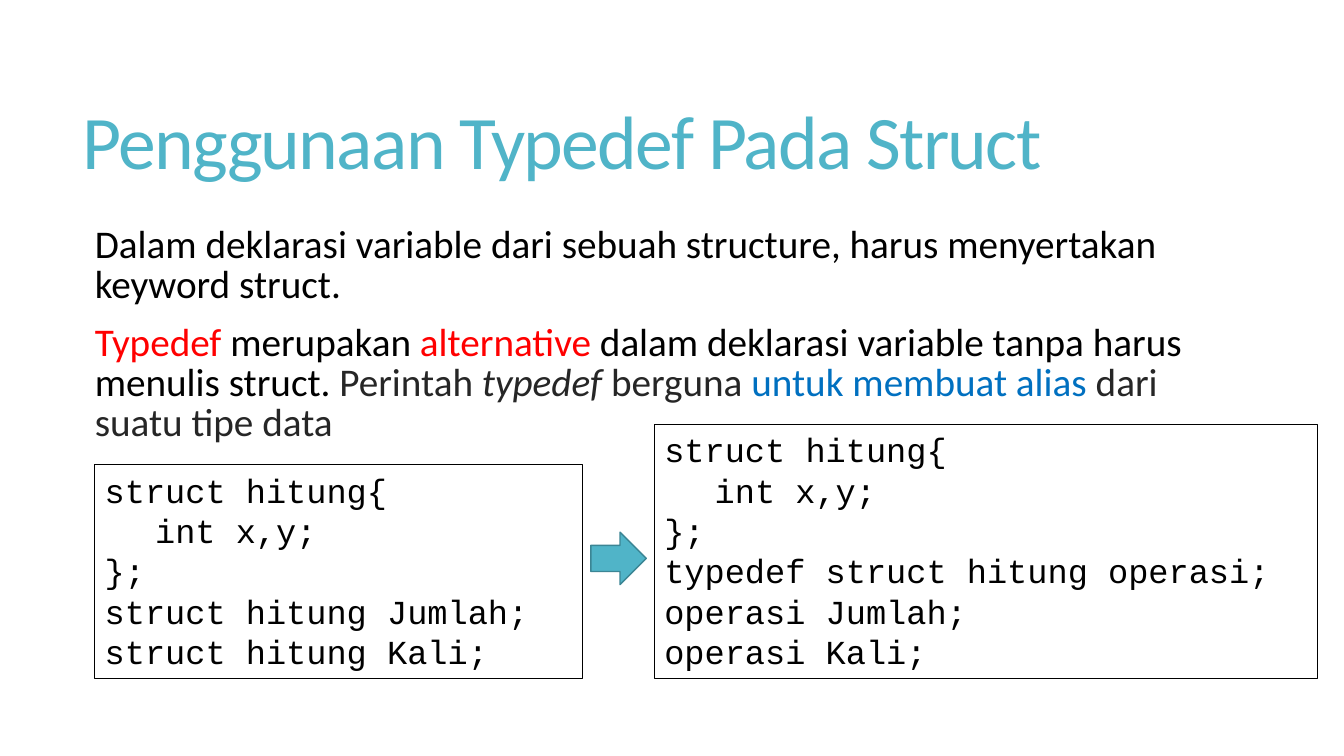
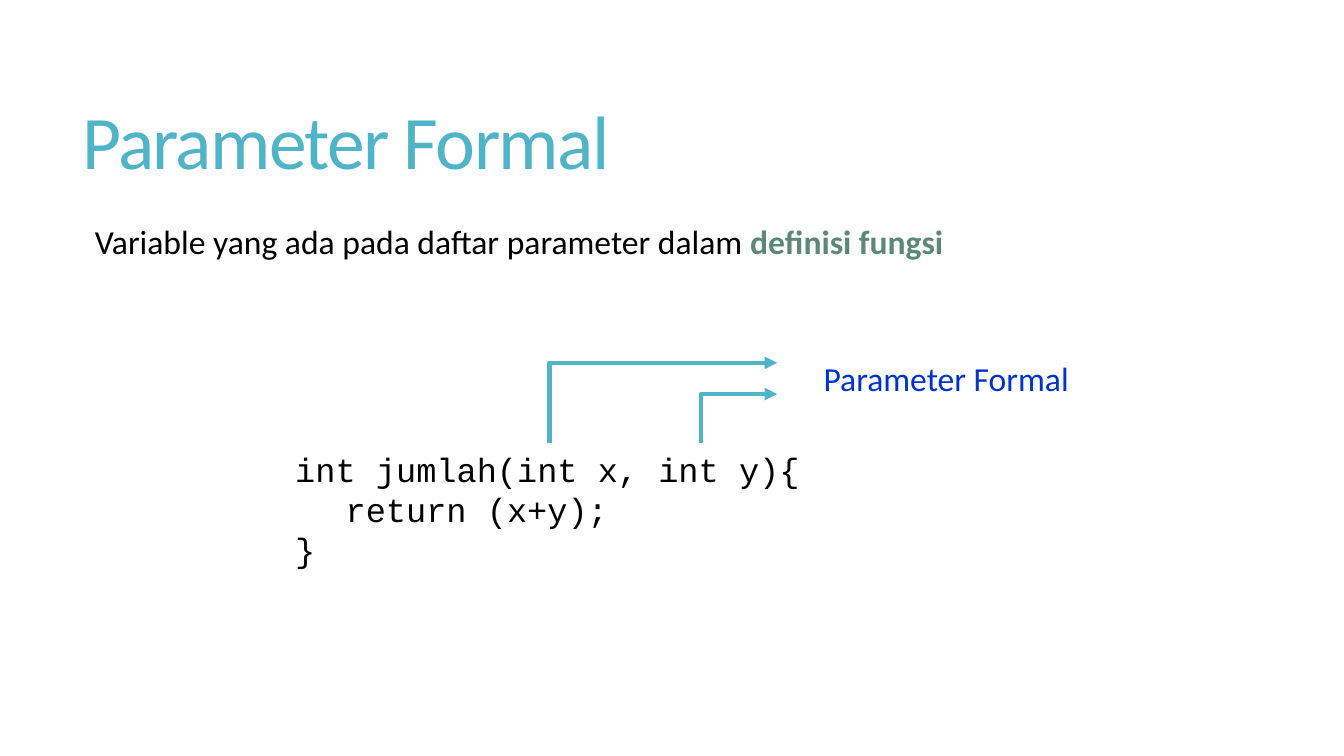
from dataclasses import dataclass
from typing import Any, Optional

from lxml.etree import SubElement
from pptx import Presentation
from pptx.dml.color import RGBColor
from pptx.enum.shapes import MSO_CONNECTOR, MSO_SHAPE
from pptx.enum.text import MSO_ANCHOR, MSO_AUTO_SIZE, PP_ALIGN
from pptx.oxml.ns import qn
from pptx.util import Inches, Pt

# Shared style
TEAL = RGBColor(0x50, 0xB4, 0xC8)
DARK_TEAL = RGBColor(0x3B, 0x85, 0x94)
GREEN = RGBColor(0x5C, 0x88, 0x78)
BLACK = RGBColor(0x00, 0x00, 0x00)
CHARCOAL = RGBColor(0x26, 0x26, 0x26)
WHITE = RGBColor(0xFF, 0xFF, 0xFF)
RED = RGBColor(0xFF, 0x00, 0x00)
BLUE = RGBColor(0x00, 0x70, 0xC0)
ROYAL_BLUE = RGBColor(0x00, 0x33, 0xCC)
TEXT_FONT, CODE_FONT = "Calibri", "Courier New"
TITLE_AREA = (0.72, 0.55, 11.78, 1.81)
BODY_AREA = (0.74, 2.2, 11.76, 4.12)

Area = tuple[float, float, float, float]
Point = tuple[float, float]


@dataclass(frozen=True)
class Span:
    text: str
    color: RGBColor = BLACK
    bold: bool = False
    italic: bool = False


@dataclass(frozen=True)
class CodeBox:
    area: Area
    lines: list[str]
    outline: Optional[RGBColor] = None
    fill: Optional[RGBColor] = None
    wrap: bool = True


@dataclass(frozen=True)
class Pointer:
    start: Point
    end: Point


def set_all(target: Any, values: dict[str, Any]) -> None:
    for name, value in values.items():
        setattr(target, name, value)


def write(frame: Any, paragraphs: list[list[Span]], font: str, size: int,
          spacing: Optional[dict[str, Any]] = None, tracking: float = 0) -> None:
    for index, spans in enumerate(paragraphs):
        para = frame.paragraphs[0] if index == 0 else frame.add_paragraph()
        set_all(para, {"alignment": PP_ALIGN.LEFT, **(spacing or {})})
        for span in spans:
            run = para.add_run()
            run.text = span.text
            set_all(run.font, {"name": font, "size": Pt(size),
                               "bold": span.bold, "italic": span.italic})
            run.font.color.rgb = span.color
            if tracking:
                run.font._element.set("spc", str(round(tracking * 100)))


def add_text(page: Any, area: Area, paragraphs: list[list[Span]], size: int,
             frame_format: dict[str, Any], **style: Any) -> None:
    box = page.shapes.add_textbox(*map(Inches, area))
    set_all(box.text_frame, {"word_wrap": True, **frame_format})
    write(box.text_frame, paragraphs, TEXT_FONT, size, **style)


def add_page(deck: Any, title: str, body: list[list[Span]], body_size: int) -> Any:
    page = deck.slides.add_slide(deck.slide_layouts[6])
    add_text(page, TITLE_AREA, [[Span(title, TEAL)]], 54,
             {"vertical_anchor": MSO_ANCHOR.MIDDLE},
             spacing={"line_spacing": 0.85}, tracking=-1.2)
    add_text(page, BODY_AREA, body, body_size, {"margin_left": Inches(0.2)},
             spacing={"line_spacing": 0.85, "space_before": Pt(13)})
    return page


def add_block(page: Any, kind: MSO_SHAPE, area: Area, fill: Optional[RGBColor],
              outline: Optional[RGBColor]) -> Any:
    block = page.shapes.add_shape(kind, *map(Inches, area))
    block.shadow.inherit = False
    if fill is None:
        block.fill.background()
    else:
        block.fill.solid()
        block.fill.fore_color.rgb = fill
    if outline is None:
        block.line.fill.background()
    else:
        block.line.color.rgb = outline
        block.line.width = Pt(1)
    return block


def add_code(page: Any, code: CodeBox) -> None:
    frame = add_block(page, MSO_SHAPE.RECTANGLE, code.area, code.fill, code.outline).text_frame
    set_all(frame, {"word_wrap": code.wrap, "vertical_anchor": MSO_ANCHOR.TOP,
                    "auto_size": MSO_AUTO_SIZE.SHAPE_TO_FIT_TEXT})
    write(frame, [[Span(line)] for line in code.lines], CODE_FONT, 24)


def add_pointer(page: Any, pointer: Pointer) -> None:
    """Draw an elbow that rises first, then runs level to its arrowhead."""
    link = page.shapes.add_connector(
        MSO_CONNECTOR.ELBOW, *map(Inches, pointer.start + pointer.end))
    link.line.color.rgb = TEAL
    link.line.width = Pt(3)
    SubElement(link.line._get_or_add_ln(), qn("a:tailEnd"), type="triangle")
    properties = link._element.spPr
    SubElement(properties, qn("a:effectLst"))
    adjustments = properties.find(qn("a:prstGeom")).get_or_add_avLst()
    SubElement(adjustments, qn("a:gd"), name="adj1", fmla="val 0")


deck = Presentation()
set_all(deck, {"slide_width": Inches(13.33), "slide_height": Inches(7.5)})

# Typedef with struct
typedef_page = add_page(deck, "Penggunaan Typedef Pada Struct", [
    [Span("Dalam deklarasi variable dari sebuah structure, harus menyertakan keyword struct.")],
    [Span("Typedef ", RED), Span("merupakan "), Span("alternative ", RED),
     Span("dalam deklarasi variable tanpa harus menulis struct. "),
     Span("Perintah ", CHARCOAL), Span("typedef ", CHARCOAL, italic=True),
     Span("berguna ", CHARCOAL), Span("untuk membuat alias", BLUE),
     Span(" dari suatu tipe data", CHARCOAL)],
], 28)
struct_lines = ["struct hitung{", "\tint x,y;", "};"]
for code in (
    CodeBox((0.94, 4.61, 4.84, 2.12),
            struct_lines + ["struct hitung Jumlah;", "struct hitung Kali;"], BLACK),
    CodeBox((6.49, 4.21, 6.58, 2.52),
            struct_lines + ["typedef struct hitung operasi;", "operasi Jumlah;",
                            "operasi Kali;"], BLACK),
):
    add_code(typedef_page, code)
add_block(typedef_page, MSO_SHAPE.RIGHT_ARROW, (5.86, 5.28, 0.55, 0.52), TEAL, DARK_TEAL)

# Formal parameters
formal_page = add_page(deck, "Parameter Formal", [
    [Span("Variable yang ada pada daftar parameter dalam "),
     Span("definisi fungsi", GREEN, bold=True)],
], 24)
add_code(formal_page, CodeBox(
    (2.83, 4.4, 5.24, 1.31),
    ["int jumlah(int x, int y){", "\treturn (x+y);", "}"], fill=WHITE, wrap=False))
for pointer in (Pointer((5.45, 4.4), (7.71, 3.6)), Pointer((6.95, 4.4), (7.71, 3.91))):
    add_pointer(formal_page, pointer)
add_text(formal_page, (8.07, 3.5, 2.66, 0.5), [[Span("Parameter Formal", ROYAL_BLUE)]], 24,
         {"word_wrap": False, "auto_size": MSO_AUTO_SIZE.SHAPE_TO_FIT_TEXT})

deck.save("out.pptx")
